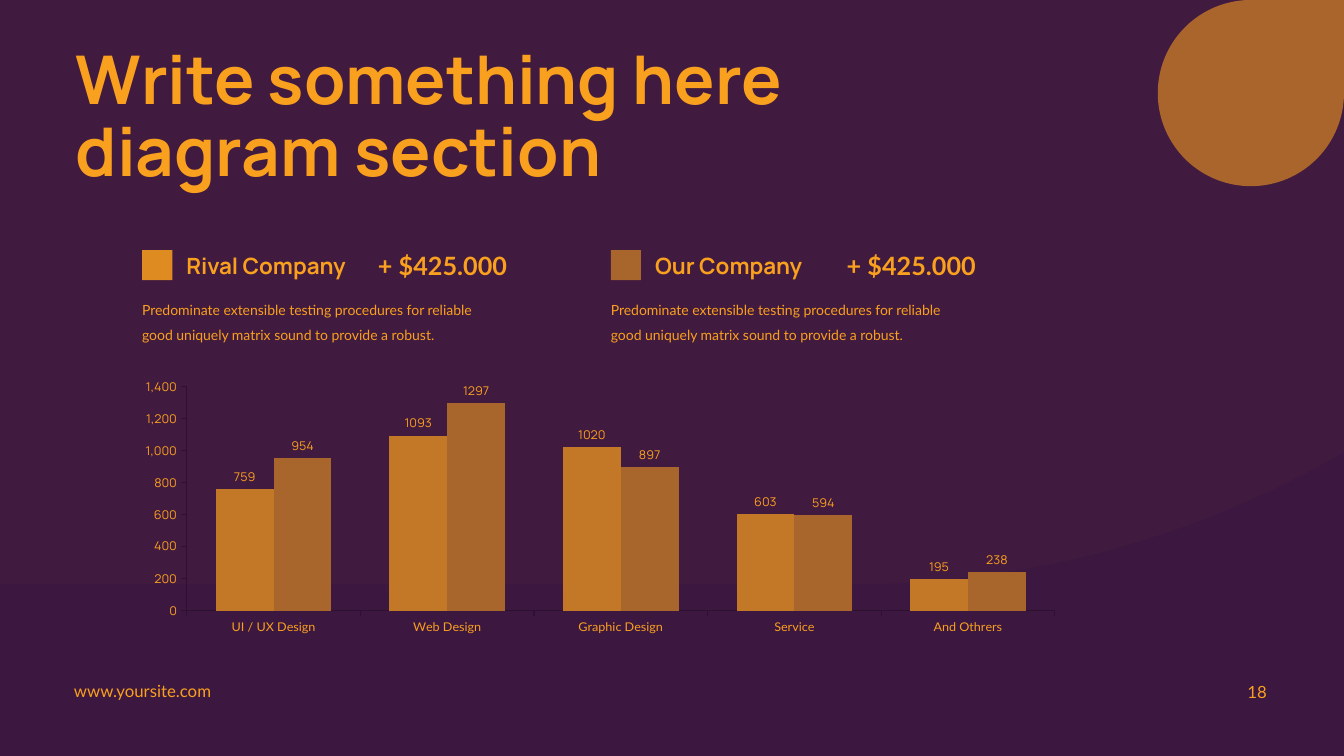
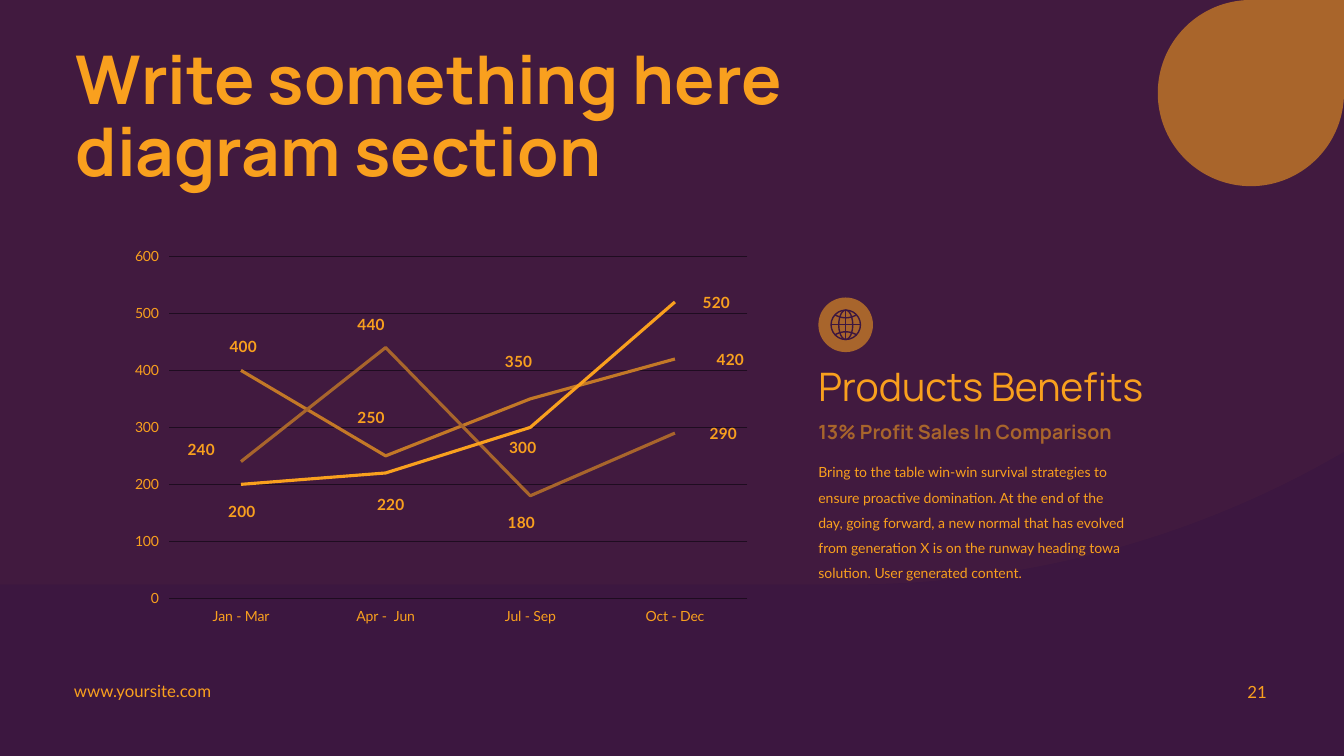
"""Build two diagram slides: a company comparison and a quarterly profit trend."""
import dataclasses

import pptx
import pptx.chart.data
import pptx.dml.color
import pptx.enum.chart
import pptx.enum.shapes
import pptx.enum.text
import pptx.oxml
import pptx.oxml.ns
import pptx.util

Pt = pptx.util.Pt
SHAPES = pptx.enum.shapes.MSO_SHAPE
ANCHOR = pptx.enum.text.MSO_ANCHOR
ALIGN = pptx.enum.text.PP_ALIGN
CHARTS = pptx.enum.chart.XL_CHART_TYPE


@dataclasses.dataclass(frozen=True)
class Theme:
    """Colours, fonts and type sizes shared by the slides."""
    night: str = "3C1740"
    gold: str = "F9A01E"
    amber: str = "DE8C22"
    ochre: str = "C37827"
    bronze: str = "A8652C"
    axis: str = "2D1130"
    grid: str = "1E0C20"
    display: str = "Manrope"
    body: str = "Lato"
    title: int = 48
    heading: int = 28
    amount: int = 18
    legend: int = 16
    subheading: int = 14
    footer: int = 12
    point: int = 11
    copy: int = 10
    tick: int = 9


THEME = Theme()
TITLE = "Write something here diagram section"
LABEL_REACH = 12


def rgb(code):
    """Return the colour for a hex code."""
    return pptx.dml.color.RGBColor.from_string(code)


def style_font(font, size, face=THEME.body, color=THEME.gold, bold=False):
    """Set size, face, colour and weight of a font."""
    font.size, font.name, font.bold = Pt(size), face, bold
    font.color.rgb = rgb(color)


def write(frame, text, size, face=THEME.body, color=THEME.gold, bold=False,
          spacing=1.0, align=ALIGN.LEFT, anchor=ANCHOR.TOP):
    """Fill a text frame with one styled paragraph."""
    frame.word_wrap = True
    frame.vertical_anchor = anchor
    paragraph = frame.paragraphs[0]
    paragraph.alignment, paragraph.line_spacing = align, spacing
    run = paragraph.add_run()
    run.text = text
    style_font(run.font, size, face, color, bold)


def add_text(slide, box, text, size, inset=0, **style):
    """Add a text box whose sides share one inset."""
    frame = slide.shapes.add_textbox(*map(Pt, box)).text_frame
    frame.margin_left = frame.margin_right = Pt(inset)
    frame.margin_top = frame.margin_bottom = Pt(inset / 2)
    write(frame, text, size, **style)


def add_solid(slide, preset, box, color):
    """Add a flat filled shape without an outline."""
    solid = slide.shapes.add_shape(preset, *map(Pt, box))
    solid.shadow.inherit = False
    solid.fill.solid()
    solid.fill.fore_color.rgb = rgb(color)
    solid.line.fill.background()
    return solid


def outline(stroke):
    """Turn a shape into a thin unfilled stroke."""
    stroke.shadow.inherit = False
    stroke.fill.background()
    stroke.line.color.rgb = rgb(THEME.night)
    stroke.line.width = Pt(1)


def decorate_layout(slide):
    """Move the backdrop and the site address to the layout."""
    layout = slide.slide_layout
    layout.background.fill.solid()
    layout.background.fill.fore_color.rgb = rgb(THEME.night)
    for placeholder in list(layout.placeholders):
        if placeholder.placeholder_format.idx:
            layout.shapes.element.remove(placeholder.element)
    add_text(slide, (52.8, 486, 195, 14.4), "www.yoursite.com", THEME.footer)
    add_solid(slide, SHAPES.TEAR, (827, 0, 133, 133), THEME.bronze)
    veil = add_solid(slide, SHAPES.TEAR, (-60.5, -839, 1335.6, 1256.4), THEME.ochre)
    veil.rotation = 180
    tint = veil.element.xpath("./p:spPr/a:solidFill/a:srgbClr")[0]
    tint.append(pptx.oxml.parse_xml(
        f'<a:alpha {pptx.oxml.ns.nsdecls("a")} val="4000"/>'))
    for shape in list(slide.shapes):
        if not shape.is_placeholder:
            layout.shapes.element.append(shape.element)


def add_slide(deck, number):
    """Add a slide with its title and page number."""
    slide = deck.slides.add_slide(deck.slide_layouts[5])
    if len(deck.slides) == 1:
        decorate_layout(slide)
    title = slide.shapes.title
    title.left, title.top, title.width, title.height = map(Pt, (46.8, 29.5, 682.6, 124))
    write(title.text_frame, TITLE, THEME.title, THEME.display, bold=True, spacing=0.9)
    title.text_frame.auto_size = pptx.enum.text.MSO_AUTO_SIZE.NONE
    add_text(slide, (696, 479.5, 216, 29), number, THEME.footer, inset=7.2,
             align=ALIGN.RIGHT, anchor=ANCHOR.MIDDLE)
    return slide


def manual_layout(target="", **places):
    """Return a chart layout element with the given fractions."""
    inner = f'<c:layoutTarget val="{target}"/>' if target else ""
    modes = '<c:xMode val="edge"/><c:yMode val="edge"/>' if target else ""
    values = "".join(f'<c:{key} val="{value:.4f}"/>' for key, value in places.items())
    return pptx.oxml.parse_xml(
        f'<c:layout {pptx.oxml.ns.nsdecls("c")}><c:manualLayout>'
        f'{inner}{modes}{values}</c:manualLayout></c:layout>')


def add_chart(slide, kind, box, categories, rows, plot, top, step):
    """Add a chart with a fixed scale and plot area."""
    data = pptx.chart.data.CategoryChartData(number_format="0")
    data.categories = categories
    for index, values in enumerate(rows, 1):
        data.add_series(f"Series {index}", values)
    chart = slide.shapes.add_chart(kind, *map(Pt, box), data).chart
    chart.has_legend = chart.has_title = False
    style_font(chart.font, THEME.copy)
    chart.plots[0].vary_by_categories = False
    scale = chart.value_axis
    scale.minimum_scale, scale.maximum_scale, scale.major_unit = 0, top, step
    scale.tick_labels.number_format = "#,##0"
    scale.tick_labels.number_format_is_linked = False
    area = chart.element.xpath(".//c:plotArea")[0]
    for old in area.xpath("./c:layout"):
        area.remove(old)
    area.insert(0, manual_layout("inner", **dict(zip("xywh", plot))))
    return chart


def style_axis(axis, size, face=THEME.body, line=None):
    """Set tick text and the line of an axis."""
    axis.major_tick_mark = pptx.enum.chart.XL_TICK_MARK.OUTSIDE
    style_font(axis.tick_labels.font, size, face)
    if line:
        axis.format.line.color.rgb = rgb(line)
        axis.format.line.width = Pt(0.75)
    else:
        axis.format.line.fill.background()


def show_values(series, size, face=THEME.body, bold=False):
    """Show the values of a series and return its labels."""
    labels = series.data_labels
    labels.show_value = True
    style_font(labels.font, size, face, bold=bold)
    return labels


def add_company(slide, left, name, color):
    """Add one legend entry with its amount and description."""
    add_solid(slide, SHAPES.RECTANGLE, (left, 178.6, 21.6, 21.6), color)
    add_text(slide, (left + 31.7, 180, 136, 19.5), name, THEME.legend,
             face=THEME.display, bold=True)
    add_text(slide, (left + 168.5, 178.6, 115, 21.6), "+ $425.000", THEME.amount, bold=True)
    add_text(slide, (left, 209.5, 250, 36),
             "Predominate extensible testing procedures for reliable "
             "good uniquely matrix sound to provide a robust.", THEME.copy, spacing=1.5)


def add_company_chart(slide):
    """Add the clustered columns of both companies."""
    chart = add_chart(
        slide, CHARTS.COLUMN_CLUSTERED, (101.5, 270, 652.3, 183.6),
        ["UI / UX Design", "Web Design", "Graphic Design", "Service", "And Othrers"],
        [(759, 1093, 1020, 603, 195), (954, 1297, 897, 594, 238)],
        (0.049, 0.002, 0.951, 0.915), 1400, 200)
    chart.plots[0].gap_width, chart.plots[0].overlap = 100, 0
    chart.value_axis.has_major_gridlines = False
    style_axis(chart.category_axis, THEME.tick, line=THEME.axis)
    style_axis(chart.value_axis, THEME.tick, THEME.display, THEME.axis)
    for series, color in zip(chart.series, (THEME.ochre, THEME.bronze)):
        series.format.fill.solid()
        series.format.fill.fore_color.rgb = rgb(color)
        labels = show_values(series, THEME.tick, THEME.display)
        labels.position = pptx.enum.chart.XL_LABEL_POSITION.OUTSIDE_END


def add_profit_chart(slide):
    """Add the quarterly lines with individually placed labels."""
    width, height = 453.6, 275.8
    chart = add_chart(
        slide, CHARTS.LINE, (80.6, 175.7, width, height),
        ["Jan - Mar", "Apr -  Jun", "Jul - Sep", "Oct - Dec"],
        [(400, 250, 350, 420), (240, 440, 180, 290), (200, 220, 300, 520)],
        (0.088, 0.027, 0.912, 0.886), 600, 100)
    style_axis(chart.category_axis, THEME.copy)
    style_axis(chart.value_axis, THEME.copy)
    grid = chart.value_axis.major_gridlines.format.line
    grid.color.rgb, grid.width = rgb(THEME.grid), Pt(0.75)
    for series, color in zip(chart.series, (THEME.ochre, THEME.bronze, THEME.gold)):
        series.smooth = False
        series.marker.style = pptx.enum.chart.XL_MARKER_STYLE.NONE
        series.format.line.color.rgb = rgb(color)
        series.format.line.width = Pt(2.25)
        show_values(series, THEME.point, bold=True)
        for index in range(len(series.values)):
            label = series.points[index].data_label
            style_font(label.font, THEME.point, bold=True)
            label.position = pptx.enum.chart.XL_LABEL_POSITION.RIGHT
    for leader in chart.element.xpath(".//c:showLeaderLines"):
        leader.set("val", "0")
    offsets = [(1, -17), (-11, -28), (-9, -27), (39, 0),
               (-29, -9), (-11, -17), (-7, 19), (34, 0),
               (0, 19), (3, 22), (-6, 14), (29, 0)]
    for label, (across, down) in zip(chart.element.xpath(".//c:dLbl"), offsets):
        label.xpath("./c:idx")[0].addnext(
            manual_layout(x=(across - LABEL_REACH) / width, y=down / height))


def add_globe(slide, x, y):
    """Draw a line globe on a disc centred at x, y."""
    add_solid(slide, SHAPES.OVAL, (x - 19.5, y - 19.5, 39, 39), THEME.bronze)
    radius = 10.5
    for half in (radius, 5):
        outline(slide.shapes.add_shape(
            SHAPES.OVAL, Pt(x - half), Pt(y - radius), Pt(2 * half), Pt(2 * radius)))
    parallels = [[(7.5 * t / 5, side * (5 + 2 * (t / 5) ** 2)) for t in range(-5, 6)]
                 for side in (-1, 1)]
    for points in parallels:
        points = [(Pt(x + across), Pt(y + down)) for across, down in points]
        builder = slide.shapes.build_freeform(*points[0])
        builder.add_line_segments(points[1:], close=False)
        outline(builder.convert_to_shape())
    for across, down in ((radius, 0), (0, radius)):
        line = slide.shapes.add_connector(
            pptx.enum.shapes.MSO_CONNECTOR.STRAIGHT,
            Pt(x - across), Pt(y - down), Pt(x + across), Pt(y + down))
        line.line.color.rgb, line.line.width = rgb(THEME.night), Pt(1)
        line.element.spPr.append(pptx.oxml.parse_xml(
            f'<a:effectLst {pptx.oxml.ns.nsdecls("a")}/>'))


def add_benefits(slide):
    """Add the globe, headings and text beside the line chart."""
    left = 584.6
    add_globe(slide, left + 19.5, 232)
    add_text(slide, (left, 262, 297.4, 31), "Products Benefits", THEME.heading,
             face=THEME.display, spacing=Pt(30), anchor=ANCHOR.MIDDLE)
    add_text(slide, (left, 300, 297.4, 17.3), "13% Profit Sales In Comparison",
             THEME.subheading, face=THEME.display, color=THEME.bronze, bold=True)
    add_text(slide, (left, 325.4, 223.2, 89.3),
             "Bring to the table win-win survival strategies to ensure proactive "
             "domination. At the end of the day, going forward, a new normal that has "
             "evolved from generation X is on the runway heading towa solution. "
             "User generated content.", THEME.copy, spacing=1.5)


def main():
    """Build and save the deck."""
    deck = pptx.Presentation()
    deck.slide_width, deck.slide_height = Pt(960), Pt(540)
    companies = add_slide(deck, "18")
    add_company(companies, 101.5, "Rival Company", THEME.amber)
    add_company(companies, 436.3, "Our Company", THEME.bronze)
    add_company_chart(companies)
    profits = add_slide(deck, "21")
    add_profit_chart(profits)
    add_benefits(profits)
    deck.save("out.pptx")


if __name__ == "__main__":
    main()
